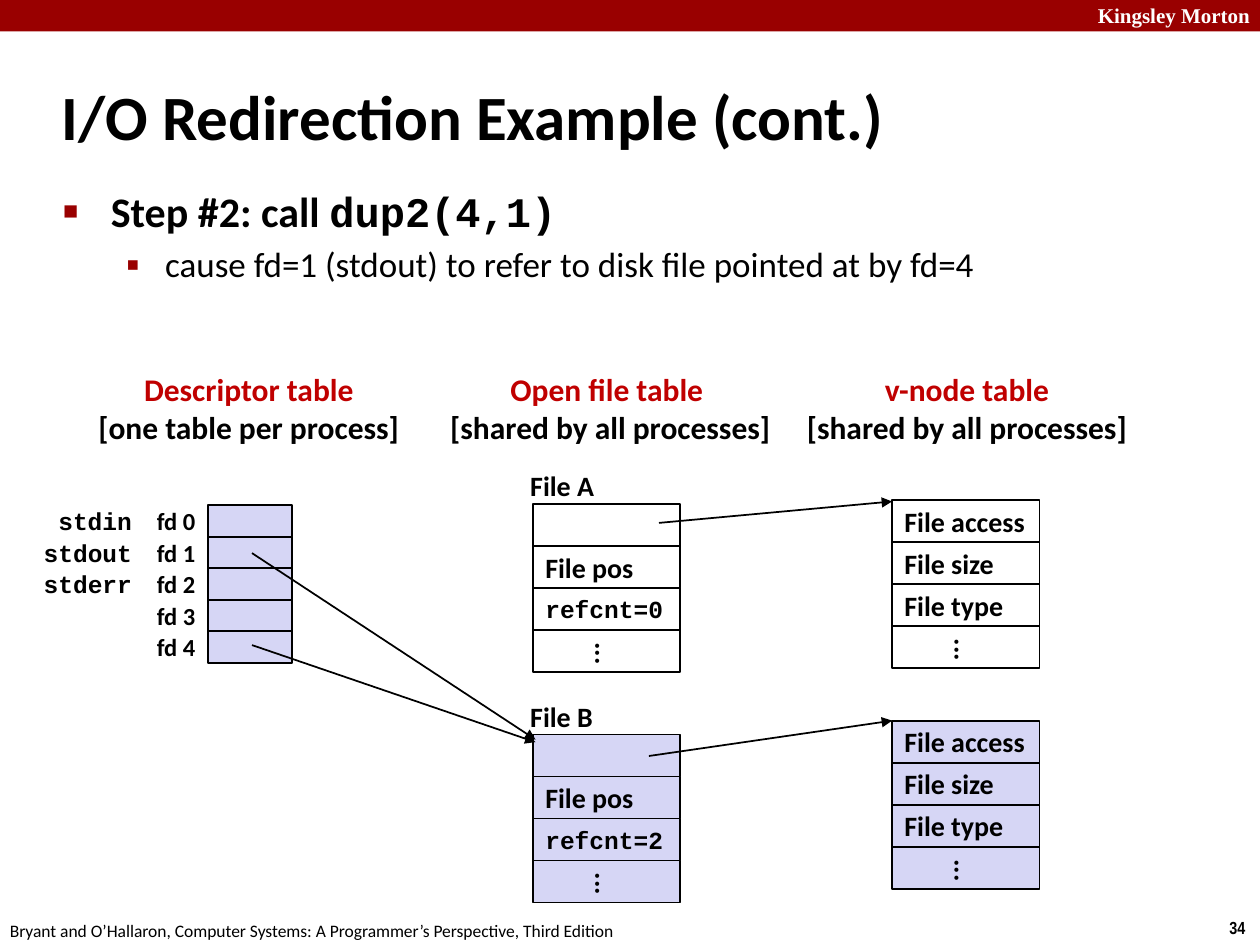
from lxml import etree
from pptx import Presentation
from pptx.dml.color import RGBColor
from pptx.enum.shapes import MSO_CONNECTOR, MSO_SHAPE
from pptx.enum.text import MSO_ANCHOR, MSO_AUTO_SIZE, PP_ALIGN
from pptx.oxml.ns import qn
from pptx.util import Inches, Pt

STRAIGHT = MSO_CONNECTOR.STRAIGHT
RECTANGLE = MSO_SHAPE.RECTANGLE
MIDDLE, TOP = MSO_ANCHOR.MIDDLE, MSO_ANCHOR.TOP
NO_AUTOFIT = MSO_AUTO_SIZE.NONE
LEFT, CENTER, RIGHT = PP_ALIGN.LEFT, PP_ALIGN.CENTER, PP_ALIGN.RIGHT

BLACK, WHITE, CRIMSON, RED, LILAC = "000000", "FFFFFF", "990000", "C00000", "D6D6F5"
SANS, MONO = "Calibri", "Courier New"
SLOT_HEIGHT = 0.25
RECORD_WIDTH, FIELD_HEIGHT = 1.17, 1 / 3
DOTS = "..."


def color(value):
    """Return a colour object for a hex string."""
    return RGBColor.from_string(value)


def style_span(span, size, name=SANS, bold=True, ink=BLACK):
    """Set the font of one run."""
    span.font.size = Pt(size)
    span.font.name = name
    span.font.bold = bold
    span.font.color.rgb = color(ink)


def place(shape, left, top, width, height):
    """Move and size a placeholder."""
    shape.left, shape.top = Inches(left), Inches(top)
    shape.width, shape.height = Inches(width), Inches(height)


def add_label(page, text, at, size, name=SANS, bold=True, inks=(BLACK,),
              align=LEFT, anchor=MIDDLE):
    """Add unwrapped text with one colour per paragraph."""
    box = page.shapes.add_textbox(*map(Inches, at))
    frame = box.text_frame
    frame.word_wrap = False
    frame.vertical_anchor = anchor
    frame.text = text
    for para, ink in zip(frame.paragraphs, inks):
        para.alignment = align
        style_span(para.runs[0], size, name, bold, ink)


def add_box(page, at, fill, outlined=True):
    """Add a flat rectangle."""
    box = page.shapes.add_shape(RECTANGLE, *map(Inches, at))
    box.shadow.inherit = False
    box.fill.solid()
    box.fill.fore_color.rgb = color(fill)
    if outlined:
        box.line.color.rgb = color(BLACK)
        box.line.width = Pt(1)
    else:
        box.line.fill.background()
    return box


def add_record(page, left, top, fields, fill):
    """Stack the fields of one table entry."""
    for row, text in enumerate(fields):
        at = (left, top + row * FIELD_HEIGHT, RECORD_WIDTH, FIELD_HEIGHT)
        frame = add_box(page, at, fill).text_frame
        if not text:
            continue
        frame.text = text
        frame.word_wrap = False
        frame.vertical_anchor = MIDDLE
        para = frame.paragraphs[0]
        para.alignment = LEFT
        if text.startswith("refcnt"):
            style_span(para.runs[0], 14, MONO)
        else:
            style_span(para.runs[0], 16)
        if text == DOTS:
            frame._txBody.bodyPr.set("vert", "eaVert")


def add_arrow(page, start, end):
    """Draw a thin line with a triangle at its end."""
    arrow = page.shapes.add_connector(STRAIGHT, *map(Inches, start + end))
    arrow.line.color.rgb = color(BLACK)
    arrow.line.width = Pt(1)
    etree.SubElement(arrow.line._get_or_add_ln(), qn("a:tailEnd"), type="triangle")
    etree.SubElement(arrow._element.spPr, qn("a:effectLst"))


def set_bullet(para, symbol, percent, margin, indent):
    """Give a paragraph a coloured bullet and a hanging indent."""
    props = para._p.get_or_add_pPr()
    props.set("marL", str(Inches(margin)))
    props.set("indent", str(-Inches(indent)))
    tint = etree.SubElement(props, qn("a:buClr"))
    etree.SubElement(tint, qn("a:srgbClr"), val=CRIMSON)
    etree.SubElement(props, qn("a:buSzPct"), val=str(percent * 1000))
    etree.SubElement(props, qn("a:buChar"), char=symbol)


def add_frame(page):
    """Add the top band, the footer and the page number."""
    add_box(page, (0, 0, 10, 0.25), CRIMSON, outlined=False)
    add_label(page, "Kingsley Morton", (8.02, -0.03, 2, 0.3), 12,
              "Times New Roman", inks=(WHITE,), align=RIGHT)
    add_label(page, "34", (9.66, 7.23, 0.34, 0.27), 10, "Arial Narrow", anchor=TOP)
    add_label(page, "Bryant and O’Hallaron, Computer Systems: "
              "A Programmer’s Perspective, Third Edition",
              (-0.02, 7.25, 5.08, 0.27), 10, bold=False, anchor=TOP)


def fill_placeholders(page):
    """Write the title and the two-level list."""
    title, body = page.placeholders[0], page.placeholders[1]
    place(title, 0.39, 0.5, 8.3, 0.83)
    title.text_frame.text = "I/O Redirection Example (cont.)"
    title.text_frame.auto_size = NO_AUTOFIT
    title.text_frame.vertical_anchor = MIDDLE
    heading = title.text_frame.paragraphs[0]
    heading.alignment = LEFT
    style_span(heading.runs[0], 36)

    place(body, 0.4, 1.42, 9.43, 1.08)
    frame = body.text_frame
    frame.auto_size = NO_AUTOFIT
    frame.text = "Step #2: call "
    step = frame.paragraphs[0]
    style_span(step.runs[0], 24)
    call = step.add_run()
    call.text = "dup2(4,1)"
    style_span(call, 24, MONO)
    set_bullet(step, "■", 60, 0.38, 0.38)
    detail = frame.add_paragraph()
    detail.text = "cause fd=1 (stdout) to refer to disk file pointed at by fd=4"
    detail.level = 1
    style_span(detail.runs[0], 20, bold=False)
    set_bullet(detail, "▪", 110, 0.81, 0.31)


def add_descriptors(page):
    """Draw the descriptor slots with their numbers and stream names."""
    for number in range(5):
        top = 4.01 + number * SLOT_HEIGHT
        add_box(page, (1.65, top, 0.67, SLOT_HEIGHT), LILAC)
        add_label(page, f"fd {number}", (0.98, top, 0.67, SLOT_HEIGHT), 14, align=RIGHT)
    for number, stream in enumerate(("stdin", "stdout", "stderr")):
        width = 0.2 + 0.117 * len(stream)
        top = 3.97 + number * SLOT_HEIGHT
        add_label(page, stream, (1.15 - width, top, width, 0.33), 14, MONO)


def main():
    """Build and save the slide."""
    deck = Presentation()
    deck.slide_width, deck.slide_height = Inches(10), Inches(7.5)
    page = deck.slides.add_slide(deck.slide_layouts[1])
    add_frame(page)
    fill_placeholders(page)

    for name, scope, left, width in (
        ("Descriptor table", "[one table per process]", 0.67, 2.61),
        ("Open file table ", "[shared by all processes]", 3.46, 2.77),
        ("v-node table", "[shared by all processes]", 6.29, 2.77),
    ):
        add_label(page, f"{name}\n{scope}", (left, 2.88, width, 0.71), 18,
                  inks=(RED, BLACK), align=CENTER)

    add_descriptors(page)
    for name, count, file_top, node_top, fill in (
        ("File A", 0, 4, 3.97, WHITE),
        ("File B", 2, 5.83, 5.72, LILAC),
    ):
        add_label(page, name, (4.11, file_top - 0.33, 0.71, 0.37), 16)
        add_record(page, 4.23, file_top, ("", "File pos", f"refcnt={count}", DOTS), fill)
        add_record(page, 7.08, node_top, ("File access", "File size", "File type", DOTS), fill)

    for start, end in (
        ((2, 4.39), (4.25, 5.87)),
        ((2, 5.12), (4.25, 5.89)),
        ((5.23, 4.15), (7.08, 3.98)),
        ((5.15, 6), (7.08, 5.72)),
    ):
        add_arrow(page, start, end)
    deck.save("out.pptx")


if __name__ == "__main__":
    main()
